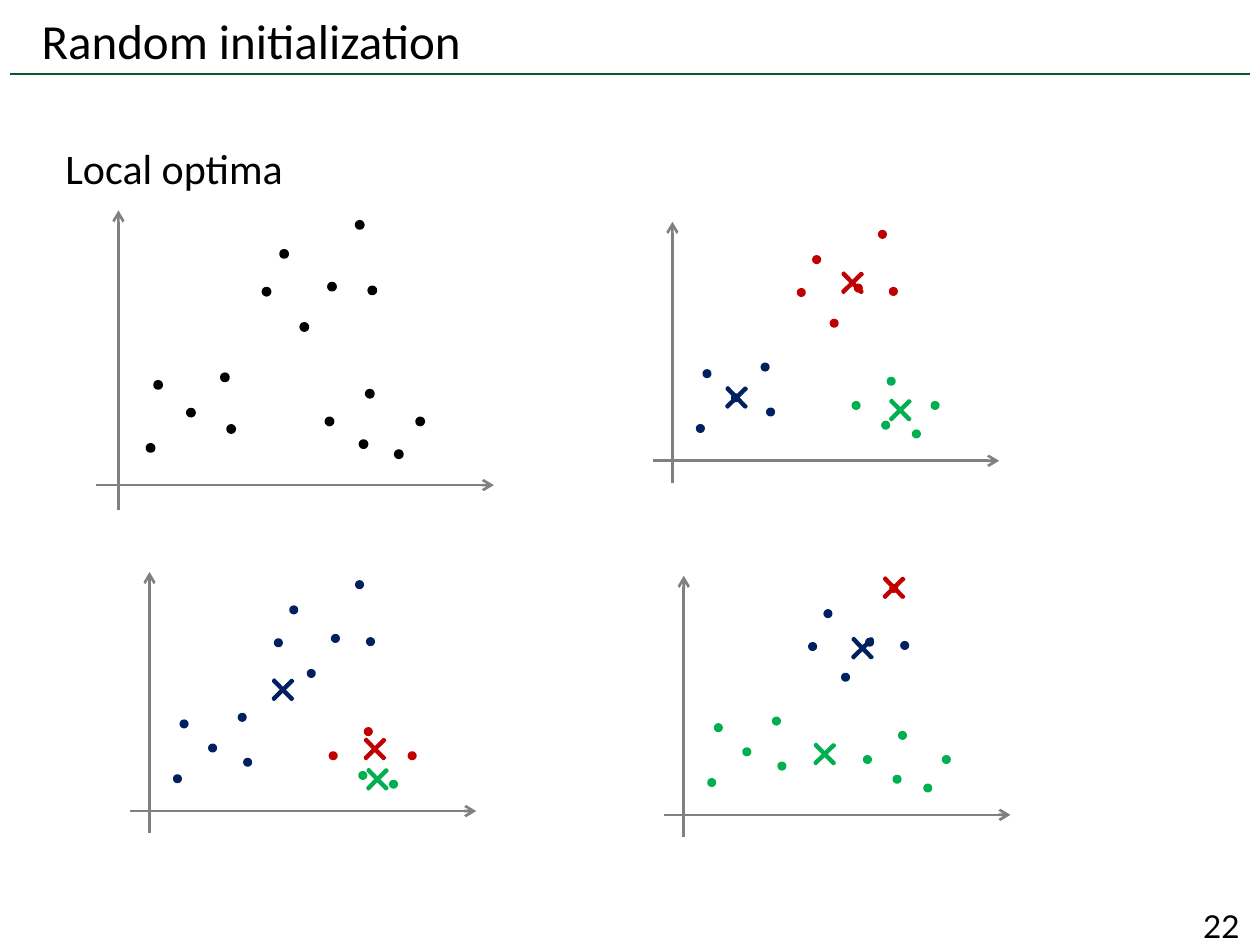
from lxml.etree import SubElement
from pptx import Presentation
from pptx.dml.color import RGBColor
from pptx.enum.shapes import MSO_CONNECTOR, MSO_SHAPE
from pptx.enum.text import MSO_ANCHOR, MSO_AUTO_SIZE, PP_ALIGN
from pptx.oxml.ns import qn
from pptx.util import Inches, Pt

COLOURS = {
    "black": "000000",
    "axis": "808080",
    "rule": "005C2A",
    "red": "C00000",
    "green": "00B050",
    "navy": "002060",
}
BASE_WIDTH, BASE_HEIGHT = 3.16, 2.38
AXIS_X, AXIS_Y = 0.18, 2.18
DOT_SIZE, CROSS_SIZE = 0.05, 0.21
POINTS = [
    (0.41, 1.86), (0.73, 1.58), (1.00, 1.30), (1.05, 1.71), (0.47, 1.36),
    (1.33, 0.62), (1.85, 0.58), (2.07, 0.09), (1.47, 0.32), (2.17, 0.61),
    (1.63, 0.90), (2.55, 1.65), (2.15, 1.43), (2.38, 1.91), (2.10, 1.83),
    (1.83, 1.65),
]
PANELS = [
    {"box": (0.76, 1.67, 3.16), "dots": ["black"] * 16, "centroids": {}},
    {
        "box": (5.18, 1.76, 2.75),
        "dots": ["navy"] * 5 + ["red"] * 6 + ["green"] * 5,
        "centroids": {"red": (1.48, 0.38), "green": (1.86, 1.39), "navy": (0.56, 1.29)},
    },
    {
        "box": (1.03, 4.54, 2.75),
        "dots": ["navy"] * 11 + ["red"] * 2 + ["green"] * 2 + ["red"],
        "centroids": {"red": (1.84, 1.30), "green": (1.86, 1.54), "navy": (1.11, 0.83)},
    },
    {
        "box": (5.27, 4.57, 2.75),
        "dots": ["green"] * 5 + ["navy"] * 2 + ["red"] + ["navy"] * 3 + ["green"] * 5,
        "centroids": {"red": (1.72, -0.01), "green": (1.17, 1.31), "navy": (1.47, 0.47)},
    },
]


def rgb(name):
    return RGBColor.from_string(COLOURS[name])


def add_text(page, text, box, size, font="Calibri", align=PP_ALIGN.LEFT,
             anchor=MSO_ANCHOR.TOP, inset=True, wrap=True):
    text_box = page.shapes.add_textbox(*map(Inches, box))
    frame = text_box.text_frame
    frame.word_wrap = wrap
    frame.auto_size = MSO_AUTO_SIZE.NONE if wrap else MSO_AUTO_SIZE.SHAPE_TO_FIT_TEXT
    frame.vertical_anchor = anchor
    if not inset:
        frame.margin_left = frame.margin_right = 0
        frame.margin_top = frame.margin_bottom = 0
    para = frame.paragraphs[0]
    para.alignment = align
    span = para.add_run()
    span.text = text
    span.font.name = font
    span.font.size = Pt(size)
    span.font.color.rgb = rgb("black")


def add_line(shapes, start, end, colour, width, arrow=False):
    line = shapes.add_connector(MSO_CONNECTOR.STRAIGHT, *map(Inches, start + end))
    line.line.color.rgb = rgb(colour)
    line.line.width = Pt(width)
    if arrow:
        SubElement(line.line._get_or_add_ln(), qn("a:tailEnd"), type="arrow")
    SubElement(line._element.spPr, qn("a:effectLst"))


def add_mark(shapes, kind, left, top, size, colour, width):
    mark = shapes.add_shape(kind, Inches(left), Inches(top), Inches(size), Inches(size))
    mark.shadow.inherit = False
    mark.fill.solid()
    mark.fill.fore_color.rgb = rgb(colour)
    mark.line.color.rgb = rgb(colour)
    mark.line.width = Pt(width)
    return mark


def add_panel(page, box, dots, centroids):
    left, top, width = box
    scale = width / BASE_WIDTH
    shapes = page.shapes.add_group_shape().shapes
    for colour, (x, y) in centroids.items():
        cross = add_mark(shapes, MSO_SHAPE.CROSS, left + x, top + y, CROSS_SIZE, colour, 1.5)
        cross.adjustments[0] = 0.466
        cross.rotation = 45.6
    axis_x, axis_y = left + AXIS_X * scale, top + AXIS_Y * scale
    add_line(shapes, (axis_x, top + BASE_HEIGHT * scale), (axis_x, top), "axis", 1.5, arrow=True)
    add_line(shapes, (left, axis_y), (left + width, axis_y), "axis", 1.5, arrow=True)
    for (x, y), colour in zip(POINTS, dots):
        add_mark(shapes, MSO_SHAPE.OVAL, left + x * scale, top + y * scale,
                 DOT_SIZE * scale, colour, 2)


def add_header(page, box):
    left, top, width, height = box
    add_line(page.shapes, (0.08, 0.59), (9.92, 0.59), "rule", 1)
    add_text(page, "Random initialization", (left, top, width, height), 28,
             anchor=MSO_ANCHOR.BOTTOM, inset=False)


def add_footer(page, box):
    add_text(page, "22", box, 18, font="Lato", align=PP_ALIGN.RIGHT,
             anchor=MSO_ANCHOR.MIDDLE, inset=False)


def main():
    deck = Presentation()
    deck.slide_width, deck.slide_height = Inches(10), Inches(7.5)
    page = deck.slides.add_slide(deck.slide_layouts[6])
    add_header(page, (0.33, 0.13, 9.51, 0.42))
    add_footer(page, (9.18, 7.29, 0.66, 0.11))
    add_text(page, "Local optima", (0.42, 1.08, 1.95, 0.5), 24, wrap=False)
    for panel in PANELS:
        add_panel(page, **panel)
    deck.save("out.pptx")


if __name__ == "__main__":
    main()
